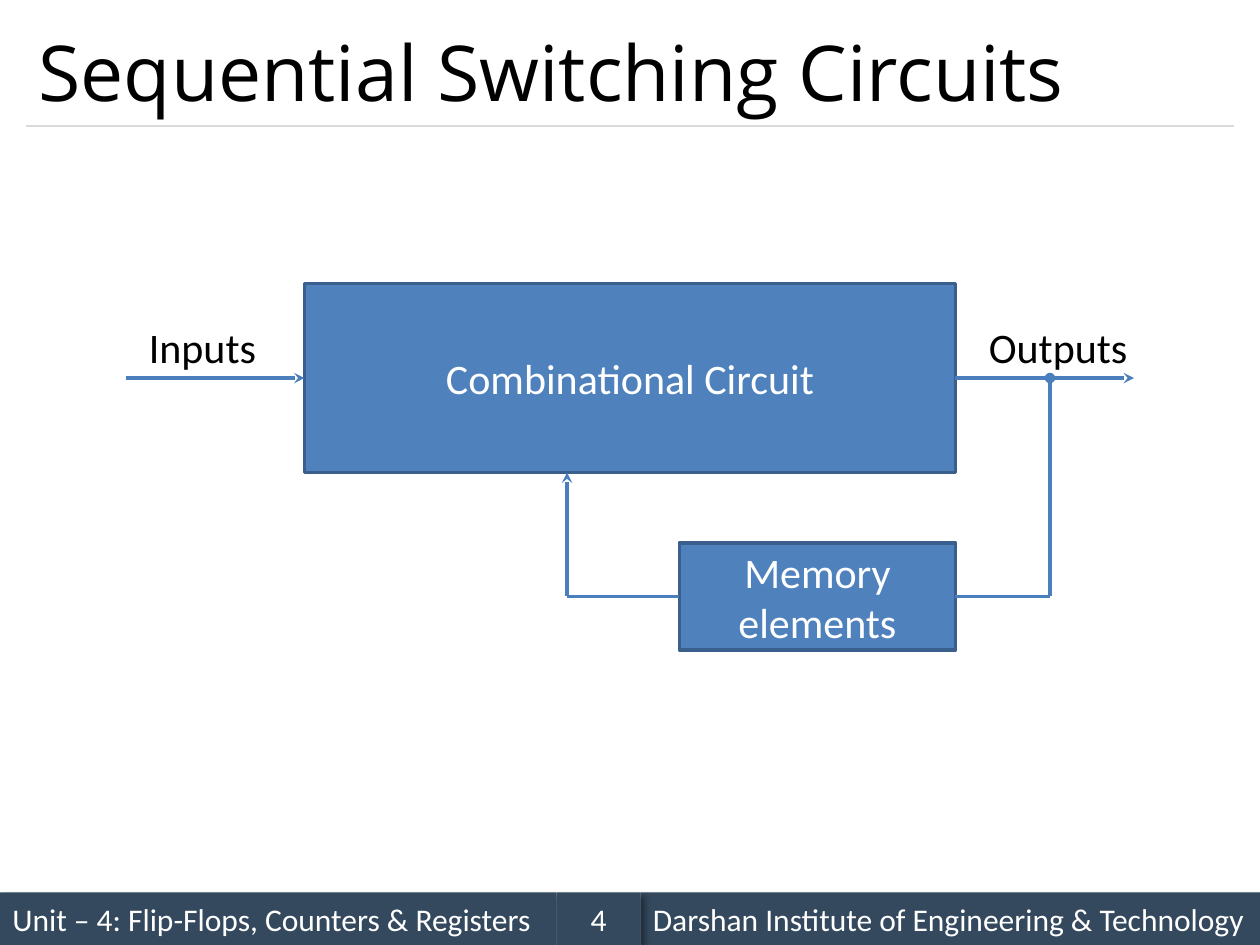
from pptx import Presentation
from pptx.dml.color import RGBColor as Rgb
from pptx.enum.shapes import MSO_CONNECTOR as Conn, MSO_SHAPE as Kind
from pptx.enum.text import MSO_ANCHOR as Anchor, PP_ALIGN as Align
from pptx.oxml import parse_xml
from pptx.oxml.ns import nsdecls, qn
from pptx.oxml.xmlchemy import OxmlElement as Node
from pptx.util import Inches, Pt

COLS, ROWS = 120, 90
WIDE, HIGH = Inches(10), Inches(7.5)
HUES = {
    "ink": "000000", "paper": "FFFFFF", "bar": "34495E", "rule": "D9D9D9",
    "box": "4F81BD", "edge": "3A5F8C", "wire": "4B7EBC",
}
SHADE = (
    f'<a:effectLst {nsdecls("a")}><a:outerShdw blurRad="50800" dist="38100" '
    'dir="2700000" algn="tl" rotWithShape="0"><a:srgbClr val="000000">'
    '<a:alpha val="40000"/></a:srgbClr></a:outerShdw></a:effectLst>'
)


def hue(name):
    """Return the named colour."""
    return Rgb.from_string(HUES[name])


def place(*cells):
    """Turn column and row pairs into slide lengths."""
    units = (WIDE / COLS, HIGH / ROWS)
    return [round(cell * units[i % 2]) for i, cell in enumerate(cells)]


def write(shape, text, size, tint, align=Align.LEFT, face="Calibri", wrap=True):
    """Set the text of a shape and format it."""
    frame = shape.text_frame
    frame.text = text
    frame.word_wrap = wrap
    frame.vertical_anchor = Anchor.MIDDLE
    para = frame.paragraphs[0]
    para.alignment = align
    font = para.runs[0].font
    font.name, font.size = face, Pt(size)
    font.color.rgb = hue(tint)


def block(slide, area, fill):
    """Add a plain filled rectangle."""
    shape = slide.shapes.add_shape(Kind.RECTANGLE, *place(*area))
    shape.shadow.inherit = False
    shape.fill.solid()
    shape.fill.fore_color.rgb = hue(fill)
    return shape


def strip(slide, left, right, text, align=Align.LEFT):
    """Add one shaded part of the footer bar."""
    shape = block(slide, (left, 85, right - left, 5), "bar")
    shape.line.fill.background()
    props = shape.element.spPr
    props.remove(props.find(qn("a:effectLst")))
    props.append(parse_xml(SHADE))
    write(shape, text, 18, "paper", align)


def unit(slide, area, text):
    """Add one outlined block of the circuit."""
    shape = block(slide, area, "box")
    shape.line.color.rgb = hue("edge")
    shape.line.width = Pt(2)
    write(shape, text, 24, "paper", Align.CENTER)


def wire(slide, start, end, head=None, tail=None, tint="wire", width=2):
    """Add a straight line with optional end marks."""
    line = slide.shapes.add_connector(Conn.STRAIGHT, *place(*start, *end))
    line.line.color.rgb = hue(tint)
    line.line.width = Pt(width)
    props = line.element.spPr
    for tag, mark in (("a:headEnd", head), ("a:tailEnd", tail)):
        if mark:
            node = Node(tag)
            node.set("type", mark)
            props.find(qn("a:ln")).append(node)
    props.append(Node("a:effectLst"))


def label(slide, area, text, size=24, face="Calibri", wrap=False):
    """Add a text box."""
    box = slide.shapes.add_textbox(*place(*area))
    write(box, text, size, "ink", face=face, wrap=wrap)


def main():
    """Build the slide and save it."""
    deck = Presentation()
    deck.slide_width, deck.slide_height = WIDE, HIGH
    slide = deck.slides.add_slide(deck.slide_layouts[6])

    strip(slide, 0, 53, "Unit – 4: Flip-Flops, Counters & Registers")
    strip(slide, 61, COLS, "Darshan Institute of Engineering & Technology")
    strip(slide, 53, 61, "4", Align.CENTER)
    wire(slide, (2.5, 12), (117.5, 12), tint="rule", width=0.75)
    label(slide, (2.5, 1.5, 115, 10.5), "Sequential Switching Circuits",
          44, "Open Sans", True)

    left, right, mid, low = 29, 91, 36, 56.8
    back, tap, side = 54, 100, 64.7
    unit(slide, (left, 27, right - left, 18), "Combinational Circuit")
    unit(slide, (side, 51.7, right - side, 10.2), "Memory elements")
    wire(slide, (12, mid), (left, mid), tail="stealth")
    wire(slide, (right, mid), (108, mid), tail="stealth")
    wire(slide, (tap, mid), (tap, low), head="oval")
    wire(slide, (right, low), (tap, low))
    wire(slide, (back, 45), (back, low), head="stealth")
    wire(slide, (back, low), (side, low))
    label(slide, (13, 30, 12.7, 6), "Inputs")
    label(slide, (93, 30, 15.7, 6), "Outputs")
    deck.save("out.pptx")


if __name__ == "__main__":
    main()
